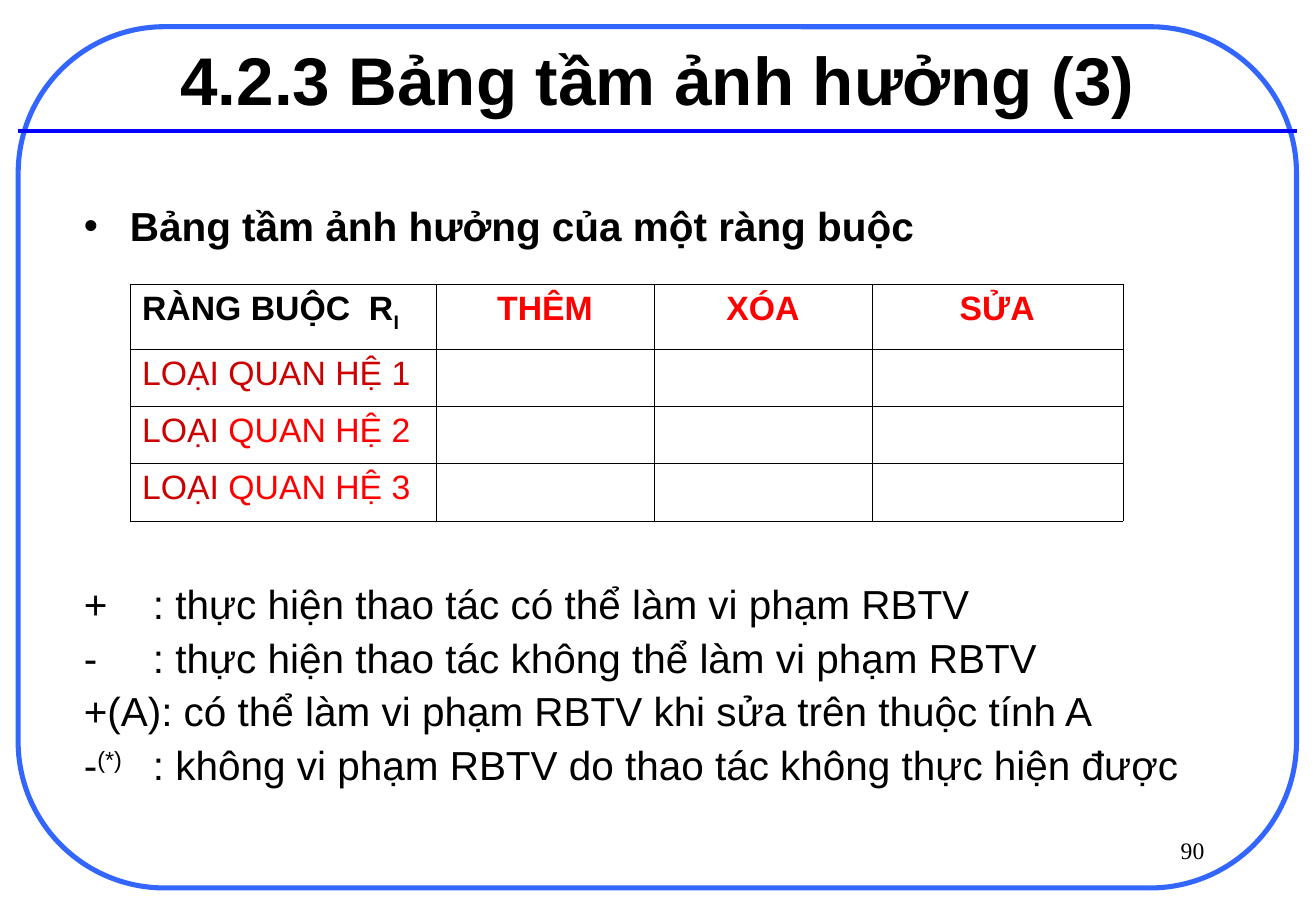
from lxml.etree import SubElement
from pptx import Presentation
from pptx.dml.color import RGBColor
from pptx.enum.shapes import MSO_CONNECTOR, MSO_SHAPE
from pptx.enum.text import MSO_ANCHOR, MSO_AUTO_SIZE, PP_ALIGN
from pptx.oxml.ns import qn
from pptx.util import Emu, Pt

BLACK = RGBColor(0x00, 0x00, 0x00)
WHITE = RGBColor(0xFF, 0xFF, 0xFF)
RED = RGBColor(0xFF, 0x00, 0x00)
DARK_RED = RGBColor(0xCC, 0x00, 0x00)
FRAME_BLUE = RGBColor(0x33, 0x66, 0xFF)
RULE_BLUE = RGBColor(0x00, 0x00, 0xFF)
EMU_PER_PX = 9144
SPACE_BEFORE = 6
TABLE_GAP = 192


def px(length):
    return Emu(length * EMU_PER_PX)


def write(para, text, size=24, color=BLACK, bold=False, font="Arial", baseline=0):
    span = para.add_run()
    span.text = text
    span.font.name = font
    span.font.size = Pt(size)
    span.font.bold = bold
    span.font.color.rgb = color
    if baseline:
        span._r.get_or_add_rPr().set("baseline", str(baseline * 1000))


class SlideBuilder:
    def __init__(self, width, height):
        self.deck = Presentation()
        self.deck.slide_width, self.deck.slide_height = px(width), px(height)
        self.page = self.deck.slides.add_slide(self.deck.slide_layouts[1])

    def place(self, box, left, top, width, height):
        box.left, box.top = px(left), px(top)
        box.width, box.height = px(width), px(height)
        box.text_frame.word_wrap = True
        box.text_frame.auto_size = MSO_AUTO_SIZE.NONE
        return box.text_frame

    def frame(self, left, top, width, height):
        shape = self.page.shapes.add_shape(
            MSO_SHAPE.ROUNDED_RECTANGLE, px(left), px(top), px(width), px(height))
        shape.adjustments[0] = 0.17
        shape.shadow.inherit = False
        shape.fill.background()
        shape.line.color.rgb = FRAME_BLUE
        shape.line.width = Pt(3)

    def rule(self, left, right, top):
        line = self.page.shapes.add_connector(
            MSO_CONNECTOR.STRAIGHT, px(left), px(top), px(right), px(top))
        line.line.color.rgb = RULE_BLUE
        line.line.width = Pt(2.25)
        SubElement(line._element.spPr, qn("a:effectLst"))

    def title(self, text, *bounds):
        frame = self.place(self.page.shapes.title, *bounds)
        frame.vertical_anchor = MSO_ANCHOR.MIDDLE
        frame.paragraphs[0].alignment = PP_ALIGN.CENTER
        write(frame.paragraphs[0], text, size=40, bold=True)

    def body(self, heading, legend, *bounds):
        frame = self.place(self.page.placeholders[1], *bounds)
        frame.vertical_anchor = MSO_ANCHOR.TOP
        first = frame.paragraphs[0]
        self.list_format(first, 38, "•")
        first.space_before = Pt(0)
        write(first, heading, bold=True)
        for index, spans in enumerate(legend):
            para = frame.add_paragraph()
            self.list_format(para, 57)
            para.space_before = Pt(SPACE_BEFORE + (0 if index else TABLE_GAP))
            for text, baseline in spans:
                write(para, text, baseline=baseline)

    def list_format(self, para, hanging, bullet=None):
        properties = para._p.get_or_add_pPr()
        properties.set("marL", str(px(hanging)))
        properties.set("indent", str(px(-hanging)))
        if bullet:
            SubElement(properties, qn("a:buChar"), char=bullet)
        else:
            SubElement(properties, qn("a:buNone"))
        para.line_spacing = 0.9

    def table(self, left, top, widths, heights, rows):
        grid = self.page.shapes.add_table(
            len(heights), len(widths), px(left), px(top),
            px(sum(widths)), px(sum(heights))).table
        grid.first_row = grid.horz_banding = False
        for column, width in zip(grid.columns, widths):
            column.width = px(width)
        for row, height in zip(grid.rows, heights):
            row.height = px(height)
        for cell in grid.iter_cells():
            self.cell_style(cell)
        for row_index, row in enumerate(rows):
            for column_index, spans in enumerate(row):
                para = grid.cell(row_index, column_index).text_frame.paragraphs[0]
                para.alignment = PP_ALIGN.CENTER if column_index else PP_ALIGN.LEFT
                for text, color, baseline in spans:
                    write(para, text, size=20, color=color,
                          bold=row_index == 0, baseline=baseline)

    def cell_style(self, cell):
        properties = cell._tc.get_or_add_tcPr()
        for side in ("a:lnL", "a:lnR", "a:lnT", "a:lnB"):
            border = SubElement(properties, qn(side), w=str(Pt(0.11)))
            fill = SubElement(border, qn("a:solidFill"))
            SubElement(fill, qn("a:srgbClr"), val=str(BLACK))
        cell.fill.solid()
        cell.fill.fore_color.rgb = WHITE

    def page_number(self, text, *bounds):
        box = self.page.shapes.add_textbox(*map(px, bounds))
        frame = self.place(box, *bounds)
        frame.paragraphs[0].alignment = PP_ALIGN.RIGHT
        write(frame.paragraphs[0], text, size=14, font="Times New Roman")


def main():
    slide = SlideBuilder(1084, 750)
    slide.frame(15, 22, 1053, 709)
    slide.rule(15, 1068, 108)
    slide.title("4.2.3 Bảng tầm ảnh hưởng (3)", 81, 16, 921, 97)
    legend = [
        [("+\t: thực hiện thao tác có thể làm vi phạm RBTV", 0)],
        [("-\t: thực hiện thao tác không thể làm vi phạm RBTV", 0)],
        [("+(A): có thể làm vi phạm RBTV khi sửa trên thuộc tính A", 0)],
        [("-", 0), ("(*)", 30),
         ("\t: không vi phạm RBTV do thao tác không thực hiện được", 0)],
    ]
    slide.body("Bảng tầm ảnh hưởng của một ràng buộc", legend, 59, 165, 943, 515)
    header = [[("RÀNG BUỘC  R", BLACK, 0), ("I", BLACK, -25)]]
    header += [[(action, RED, 0)] for action in ("THÊM", "XÓA", "SỬA")]
    relations = [
        [[("LOẠI ", DARK_RED, 0), (f"QUAN HỆ {number}", color, 0)]]
        for number, color in enumerate((DARK_RED, RED, RED), 1)
    ]
    slide.table(107, 234, [252, 180, 179, 207], [53, 47, 47, 48],
                [header] + relations)
    slide.page_number("90", 776, 683, 226, 50)
    slide.deck.save("out.pptx")


if __name__ == "__main__":
    main()
